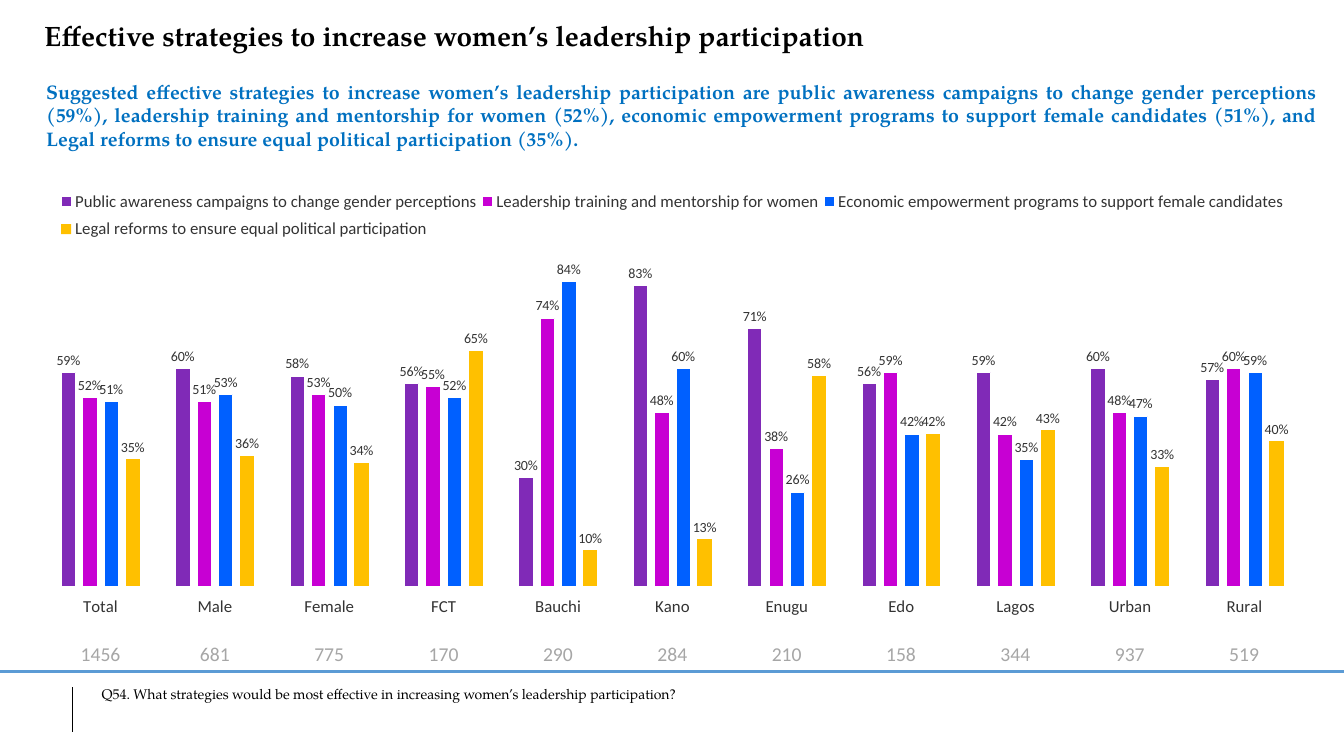
from lxml.etree import SubElement as Sub
from pptx import Presentation
from pptx.chart.data import CategoryChartData as Data
from pptx.dml.color import RGBColor
from pptx.enum.chart import XL_CHART_TYPE as Kind, XL_LABEL_POSITION as Spot
from pptx.enum.chart import XL_LEGEND_POSITION as Side, XL_TICK_MARK as Tick
from pptx.enum.shapes import MSO_CONNECTOR as Link
from pptx.enum.text import MSO_ANCHOR as Anchor, MSO_AUTO_SIZE as Auto, PP_ALIGN as Align
from pptx.oxml import parse_xml
from pptx.oxml.ns import nsdecls, qn
from pptx.util import Emu, Pt

BLACK = RGBColor(0, 0, 0)
WHITE = RGBColor(255, 255, 255)
BLUE = RGBColor(0x00, 0x70, 0xC0)
RULE = RGBColor(0x5B, 0x9B, 0xD5)
DARK = RGBColor(0x33, 0x33, 0x33)
GREY = RGBColor(0xA6, 0xA6, 0xA6)
SERIF, SANS = "TeX Gyre Pagella", "Calibri"

TITLE = "Effective strategies to increase women’s leadership participation"
LEAD = (
    "Suggested effective strategies to increase women’s leadership participation are public "
    "awareness campaigns to change gender perceptions (59%), leadership training and mentorship "
    "for women (52%), economic empowerment programs to support female candidates (51%), and "
    "Legal reforms to ensure equal political participation (35%)."
)
NOTE = "Q54. What strategies would be most effective in increasing women’s leadership participation?"

BASES = {
    "Total": 1456, "Male": 681, "Female": 775, "FCT": 170, "Bauchi": 290, "Kano": 284,
    "Enugu": 210, "Edo": 158, "Lagos": 344, "Urban": 937, "Rural": 519,
}
SERIES = [
    ("Public awareness campaigns to change gender perceptions", RGBColor(0x80, 0x2A, 0xB7),
     [59, 60, 58, 56, 30, 83, 71, 56, 59, 60, 57]),
    ("Leadership training and mentorship for women", RGBColor(0xC7, 0x00, 0xD3),
     [52, 51, 53, 55, 74, 48, 38, 59, 42, 48, 60]),
    ("Economic empowerment programs to support female candidates", RGBColor(0x00, 0x60, 0xFF),
     [51, 53, 50, 52, 84, 60, 26, 42, 35, 47, 59]),
    ("Legal reforms to ensure equal political participation", RGBColor(0xFF, 0xC0, 0x00),
     [35, 36, 34, 65, 10, 13, 58, 42, 43, 33, 40]),
]


def px(n):
    return Emu(n * 9144)


def style(item, **form):
    for key, value in form.items():
        setattr(item, key, value)


def paint(font, size, color, name, bold=False):
    style(font, size=Pt(size), name=name, bold=bold)
    font.color.rgb = color


def write(slide, box, text, size, color, bold=False, align=Align.LEFT):
    frame = slide.shapes.add_textbox(*map(px, box)).text_frame
    style(frame, word_wrap=True, auto_size=Auto.SHAPE_TO_FIT_TEXT)
    para = frame.paragraphs[0]
    style(para, text=text, alignment=align)
    paint(para.runs[0].font, size, color, SERIF, bold)


def rule(slide, ends, color, width):
    line = slide.shapes.add_connector(Link.STRAIGHT, *map(px, ends))
    line.line.color.rgb = color
    line.line.width = Pt(width)
    Sub(line._element.spPr, qn("a:effectLst"))


def place(node, x, y, w, h, inner=False):
    old = node.find(qn("c:layout"))
    if old is not None:
        node.remove(old)
    target = '<c:layoutTarget val="inner"/>' if inner else ""
    layout = parse_xml(
        f'<c:layout {nsdecls("c")}><c:manualLayout>{target}'
        '<c:xMode val="edge"/><c:yMode val="edge"/>'
        f'<c:x val="{x}"/><c:y val="{y}"/><c:w val="{w}"/><c:h val="{h}"/>'
        '</c:manualLayout></c:layout>'
    )
    node.insert(0 if inner else 1, layout)


def bars(slide, box):
    data = Data(number_format="0%")
    data.categories = list(BASES)
    for name, _, vals in SERIES:
        data.add_series(name, [v / 100 for v in vals])
    chart = slide.shapes.add_chart(Kind.COLUMN_CLUSTERED, *map(px, box), data).chart
    style(chart, has_title=False, has_legend=True)
    paint(chart.font, 12, DARK, SANS)
    style(chart.legend, position=Side.TOP, include_in_layout=False)
    paint(chart.legend.font, 12, DARK, SANS)
    place(chart.legend._element, 0.01, 0.02, 0.98, 0.14)
    place(chart._chartSpace.chart.plotArea, 0, 0.19, 1, 0.735, True)
    style(chart.value_axis, minimum_scale=0, maximum_scale=0.9,
          has_major_gridlines=False, visible=False)
    style(chart.category_axis, major_tick_mark=Tick.OUTSIDE)
    chart.category_axis.format.line.fill.background()
    plot = chart.plots[0]
    style(plot, gap_width=250, overlap=-50, vary_by_categories=False)
    for bar, (_, color, _) in zip(plot.series, SERIES):
        bar.format.fill.solid()
        bar.format.fill.fore_color.rgb = color
        if bar is not plot.series[-1] and color != SERIES[-1][1]:
            bar.format.line.color.rgb = WHITE
            bar.format.line.width = Pt(0.5)
        tags = bar.data_labels
        style(tags, show_value=True, position=Spot.OUTSIDE_END,
              number_format="0%", number_format_is_linked=False)
        paint(tags.font, 10, DARK, SANS)


def counts(slide, box):
    grid = slide.shapes.add_table(1, len(BASES), *map(px, box)).table
    style(grid, first_row=False, horz_banding=False)
    for cell, base in zip(grid.rows[0].cells, BASES.values()):
        cell.fill.background()
        style(cell, vertical_anchor=Anchor.BOTTOM, margin_left=px(1), margin_right=px(1),
              margin_top=px(1), margin_bottom=0)
        para = cell.text_frame.paragraphs[0]
        style(para, text=str(base), alignment=Align.CENTER)
        paint(para.runs[0].font, 14, GREY, SANS)


def head(slide, x, y, w):
    write(slide, (x, y, 943, 44), TITLE, 20, BLACK, True)
    write(slide, (x + 2, y + 61, w, 81), LEAD, 14, BLUE, True, Align.JUSTIFY)


def body(slide, x, y, w):
    bars(slide, (x, y, w, 441))
    counts(slide, (x, y + 459, w, 28))


def foot(slide, x, y, w):
    rule(slide, (x, y, x + w, y), RULE, 2.25)
    rule(slide, (x + 72, y + 16, x + 72, y + 60), BLACK, 0.5)
    write(slide, (x + 91, y + 9, 1164, 27), NOTE, 10, BLACK)


def main():
    deck = Presentation()
    style(deck, slide_width=px(1333), slide_height=px(750))
    slide = deck.slides.add_slide(deck.slide_layouts[6])
    foot(slide, 0, 666, 1333)
    head(slide, 34, 13, 1281)
    body(slide, 43, 174, 1248)
    deck.save("out.pptx")


if __name__ == "__main__":
    main()
